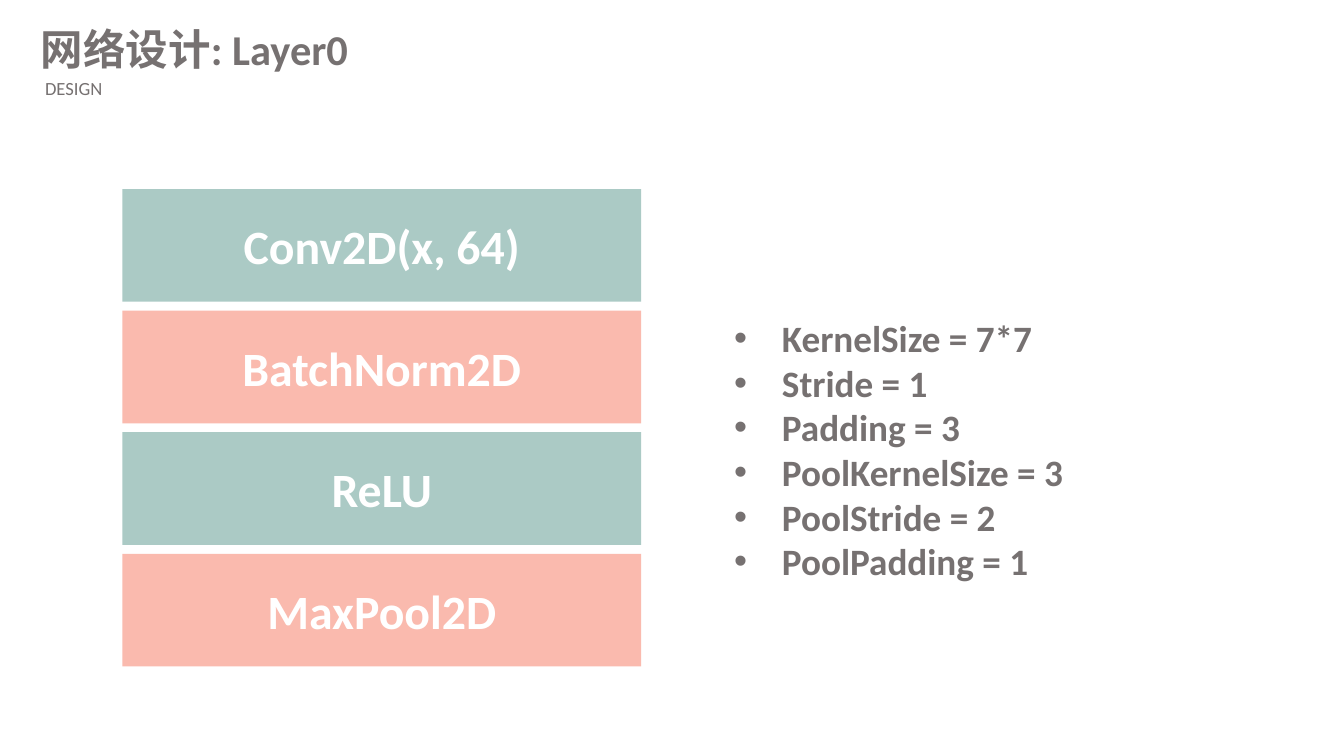
from dataclasses import dataclass

from lxml.etree import SubElement
from pptx import Presentation
from pptx.dml.color import RGBColor
from pptx.enum.shapes import MSO_SHAPE
from pptx.enum.text import MSO_ANCHOR, PP_ALIGN
from pptx.oxml.ns import qn
from pptx.slide import Slide
from pptx.text.text import TextFrame
from pptx.util import Emu, Pt

PX = 9525
FONT = "Calibri"
GRAY = RGBColor(0x76, 0x71, 0x71)
WHITE = RGBColor(0xFF, 0xFF, 0xFF)
TEAL = RGBColor(0xAB, 0xCA, 0xC5)
CORAL = RGBColor(0xFA, 0xBA, 0xAE)

LAYER_LEFT, LAYER_TOP = 123, 190
LAYER_WIDTH, LAYER_HEIGHT, LAYER_PITCH = 521, 113, 122
BULLET_INDENT = 48


@dataclass
class Heading:
    text: str
    top: int
    width: int
    height: int
    size: int
    bold: bool


@dataclass
class Layer:
    name: str
    color: RGBColor


HEADINGS = [
    Heading("网络设计: Layer0", 23, 438, 52, 32, True),
    Heading(" DESIGN", 77, 295, 23, 14, False),
]
LAYERS = [
    Layer("Conv2D(x, 64)", TEAL),
    Layer("BatchNorm2D", CORAL),
    Layer("ReLU", TEAL),
    Layer("MaxPool2D", CORAL),
]
PARAMETERS = [
    "KernelSize = 7*7",
    "Stride = 1",
    "Padding = 3",
    "PoolKernelSize = 3",
    "PoolStride = 2",
    "PoolPadding = 1",
]


def px(n: int) -> Emu:
    return Emu(n * PX)


def style_text(tf: TextFrame, size: int, color: RGBColor, bold: bool) -> None:
    for p in tf.paragraphs:
        for r in p.runs:
            r.font.name = FONT
            r.font.size = Pt(size)
            r.font.bold = bold
            r.font.color.rgb = color


def add_heading(s: Slide, heading: Heading) -> None:
    box = s.shapes.add_textbox(px(41), px(heading.top), px(heading.width), px(heading.height))
    tf = box.text_frame
    tf.word_wrap = True
    tf.vertical_anchor = MSO_ANCHOR.MIDDLE
    tf.margin_left = tf.margin_top = tf.margin_right = tf.margin_bottom = 0
    tf.text = heading.text
    style_text(tf, heading.size, GRAY, heading.bold)


def add_layer(s: Slide, layer: Layer, row: int) -> None:
    top = LAYER_TOP + row * LAYER_PITCH
    sp = s.shapes.add_shape(
        MSO_SHAPE.RECTANGLE, px(LAYER_LEFT), px(top), px(LAYER_WIDTH), px(LAYER_HEIGHT)
    )
    sp.shadow.inherit = False
    sp.fill.solid()
    sp.fill.fore_color.rgb = layer.color
    sp.line.fill.background()
    tf = sp.text_frame
    tf.vertical_anchor = MSO_ANCHOR.MIDDLE
    tf.text = layer.name
    tf.paragraphs[0].alignment = PP_ALIGN.CENTER
    style_text(tf, 36, WHITE, True)


def add_parameters(s: Slide, lines: list[str]) -> None:
    tf = s.shapes.add_textbox(px(728), px(312), px(574), px(281)).text_frame
    tf.word_wrap = True
    tf.text = "\n".join(lines)
    for p in tf.paragraphs:
        pPr = p._p.get_or_add_pPr()
        pPr.set("marL", str(px(BULLET_INDENT)))
        pPr.set("indent", str(px(-BULLET_INDENT)))
        SubElement(pPr, qn("a:buFont"), typeface="Arial")
        SubElement(pPr, qn("a:buChar"), char="•")
    style_text(tf, 28, GRAY, True)


def main() -> None:
    prs = Presentation()
    prs.slide_width, prs.slide_height = px(1350), px(759)
    s = prs.slides.add_slide(prs.slide_layouts[6])
    for heading in HEADINGS:
        add_heading(s, heading)
    for row, layer in enumerate(LAYERS):
        add_layer(s, layer, row)
    add_parameters(s, PARAMETERS)
    prs.save("out.pptx")


if __name__ == "__main__":
    main()
